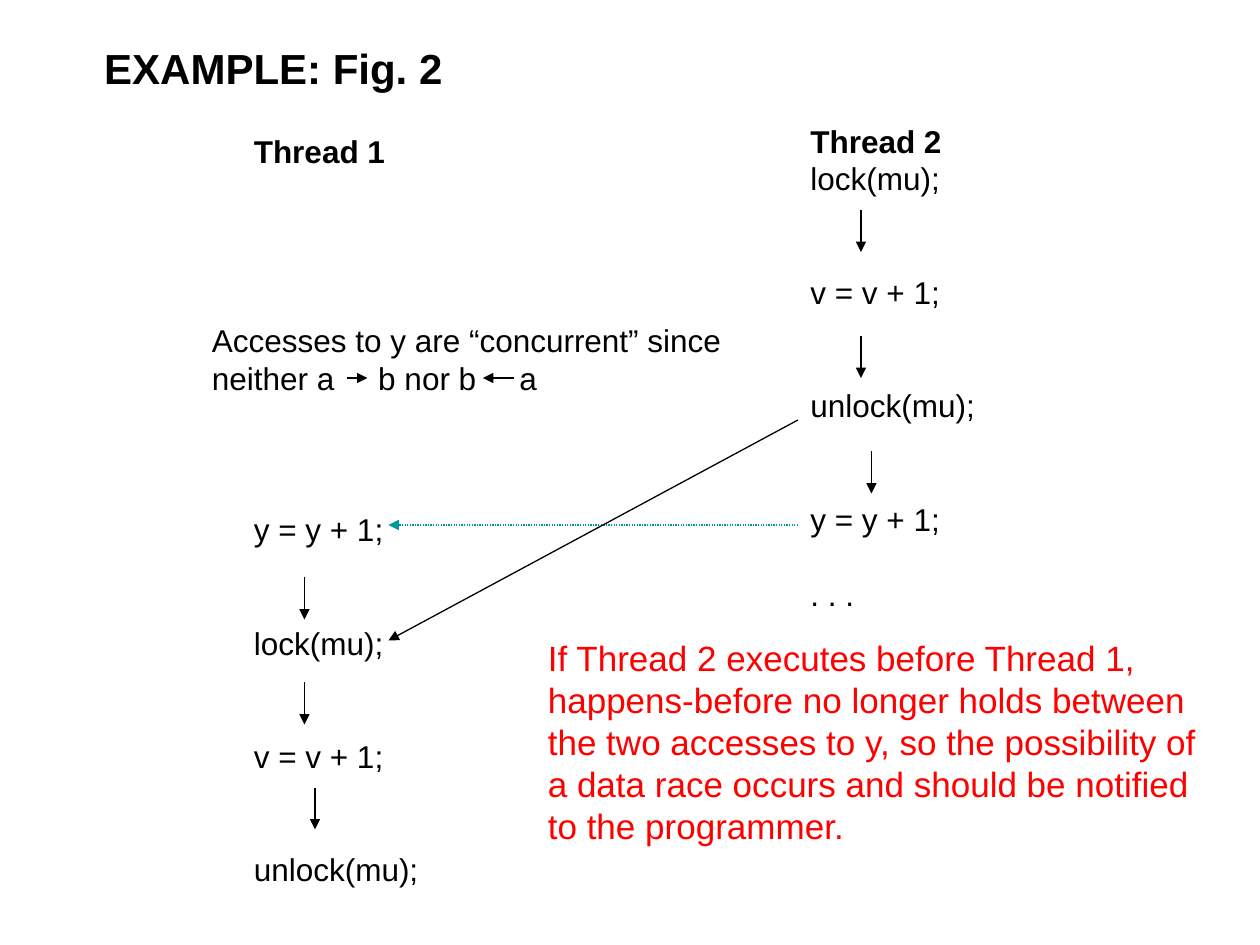
from lxml.etree import SubElement
from pptx import Presentation
from pptx.dml.color import RGBColor
from pptx.enum.dml import MSO_LINE_DASH_STYLE as Dash
from pptx.enum.shapes import MSO_CONNECTOR_TYPE as Connector
from pptx.oxml.ns import qn
from pptx.util import Inches, Pt

presentation = Presentation()
presentation.slide_width = Inches(10)
presentation.slide_height = Inches(7.5)
slide = presentation.slides.add_slide(presentation.slide_layouts[6])
CELL = presentation.slide_width // 120
LEADING = 1.2


def add_text(column, row, columns, rows, lines, size, color="000000", bold_first=False):
    box = slide.shapes.add_textbox(*(round(n * CELL) for n in (column, row, columns, rows)))
    box.text_frame.word_wrap = True
    for index, (gap, text) in enumerate(lines):
        paragraph = box.text_frame.paragraphs[0] if index == 0 else box.text_frame.add_paragraph()
        paragraph.text = text
        paragraph.line_spacing = Pt(size * LEADING)
        paragraph.space_before = Pt(gap * size * LEADING)
        paragraph.font.name = "Arial"
        paragraph.font.size = Pt(size)
        paragraph.font.bold = bold_first and index == 0
        paragraph.font.color.rgb = RGBColor.from_string(color)
    return box


def add_arrow(x1, y1, x2, y2, color="000000", dash=None):
    arrow = slide.shapes.add_connector(Connector.STRAIGHT, *(n * CELL for n in (x1, y1, x2, y2)))
    arrow.line.width = Pt(0.75)
    arrow.line.color.rgb = RGBColor.from_string(color)
    if dash:
        arrow.line.dash_style = dash
    SubElement(arrow.get_or_add_ln(), qn("a:tailEnd"), type="triangle")
    SubElement(arrow._element.spPr, qn("a:effectLst"))


add_text(8.75, 3.5, 36, 6, [(0, "EXAMPLE: Fig. 2")], 24, bold_first=True)

thread_1 = [(0, "Thread 1"), (9, "y = y + 1;"), (2, "lock(mu);"), (2, "v = v + 1;"), (2, "unlock(mu);")]
thread_2 = [(0, "Thread 2"), (0, "lock(mu);"), (2, "v = v + 1;"), (2, "unlock(mu);"),
            (2, "y = y + 1;"), (1, ". . .")]
add_text(23, 12, 19, 73.2, thread_1, 18, bold_first=True)
add_text(76, 11, 19, 48, thread_2, 18, bold_first=True)

for column, row in [(29, 65), (29, 55), (83, 43), (82, 20), (82, 32), (30, 75)]:
    add_arrow(column, row, column, row + 4)

warning = (
    "If Thread 2 executes before Thread 1, happens-before no longer holds between the two "
    "accesses to y, so the possibility of a data race occurs and should be notified to the programmer."
)
add_text(51, 60, 65, 21.2, [(0, warning)], 20, color="FF0000")

concurrency = "Accesses to y are “concurrent” since neither a\tb nor b\ta"
note = add_text(19, 30, 58, 8.4, [(0, concurrency)], 18)
properties = note.text_frame.paragraphs[0]._p.get_or_add_pPr()
tabs = properties.makeelement(qn("a:tabLst"), {})
properties.find(qn("a:defRPr")).addprevious(tabs)
for position in (1.32, 2.44):
    SubElement(tabs, qn("a:tab"), pos=str(Inches(position)), algn="l")

add_arrow(76, 50, 37, 50, color="009999", dash=Dash.ROUND_DOT)
add_arrow(33, 36, 35, 36)
add_arrow(49, 36, 46, 36)
add_arrow(76, 40, 37, 61)

presentation.save("out.pptx")
